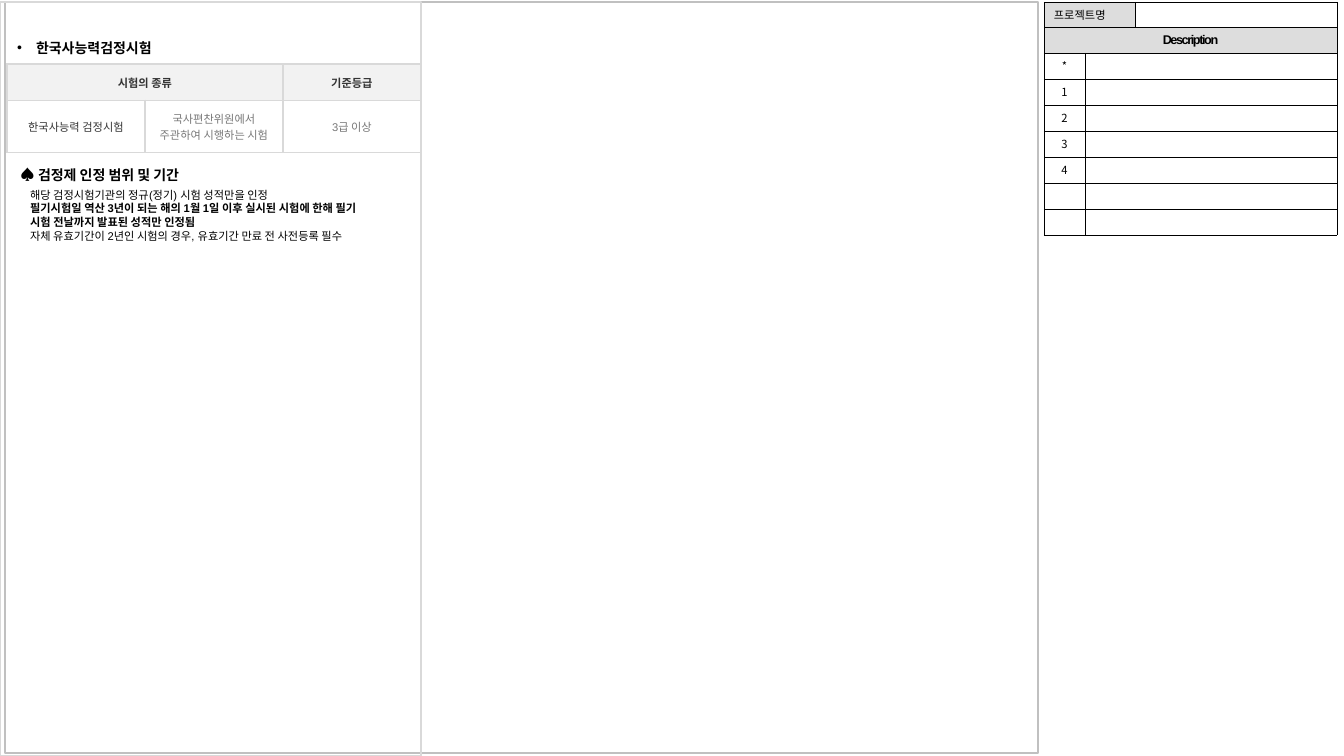
import pptx
import pptx.util
import pptx.dml.color
import pptx.enum.shapes
import pptx.enum.text
import pptx.oxml.ns
import lxml.etree

# Content
KOREAN, LATIN = "Noto Sans CJK KR", "Arial"
LEFT, CENTER = pptx.enum.text.PP_ALIGN.LEFT, pptx.enum.text.PP_ALIGN.CENTER
TOP, MIDDLE = pptx.enum.text.MSO_ANCHOR.TOP, pptx.enum.text.MSO_ANCHOR.MIDDLE

HEADING = "한국사능력검정시험"
NOTES_HEADING = ("♠ ", "검정제 인정 범위 및 기간")
NOTES = [  # text, bold
    ("해당 검정시험기관의 정규(정기) 시험 성적만을 인정", False),
    ("필기시험일 역산 3년이 되는 해의 1월 1일 이후 실시된 시험에 한해 필기", True),
    ("시험 전날까지 발표된 성적만 인정됨", True),
    ("자체 유효기간이 2년인 시험의 경우, 유효기간 만료 전 사전등록 필수", False),
]
EXAM_ROWS = [
    ["시험의 종류", "", "기준등급"],
    ["한국사능력 검정시험", "국사편찬위원에서 주관하여 시행하는 시험", "3급 이상"],
]
DESCRIPTION_ROWS = [["프로젝트명", "", ""], ["Description", "", ""]]
DESCRIPTION_ROWS += [[mark, "", ""] for mark in ["*", "1", "2", "3", "4", "", ""]]

# Geometry in px: left, top, width, height
PX = 914400 / 100.8
SLIDE = (1344, 756)
FRAMES = [((5, 2, 1033, 751), "C0C0C0"), ((0, 2, 421, 754), "D9D9D9")]
HEADING_BOX = (7, 34, 414, 27)
NOTES_BOX = (5, 161, 416, 87)
EXAM_AT, EXAM_COLS, EXAM_HEIGHTS = (7, 64), [138] * 3, [34, 48]
DESC_AT, DESC_COLS, DESC_HEIGHTS = (1044, 2), [41, 50, 202], [25] + [26] * 8


def px(n):
    return round(n * PX)


def rgb(value):
    return pptx.dml.color.RGBColor.from_string(value)


def assign(obj, values):
    for name, value in values.items():
        setattr(obj, name, value)


def sub(parent, tag, **attrs):
    el = lxml.etree.SubElement(parent, pptx.oxml.ns.qn(tag))
    for name, value in attrs.items():
        el.set(name, str(value))
    return el


def add_run(p, text, size, color="000000", bold=False, font=KOREAN, spacing=0):
    r = p.add_run()
    r.text = text
    assign(r.font, {"size": pptx.util.Pt(size), "bold": bold, "name": font})
    r.font.color.rgb = rgb(color)
    rPr = r.font._element
    sub(rPr, "a:ea", typeface=KOREAN)
    if spacing:
        rPr.set("spc", str(spacing))


def format_line(p, spacing, margin, indent=0, before=0, bullet=None):
    assign(p, {"alignment": LEFT, "line_spacing": pptx.util.Pt(spacing),
               "space_before": pptx.util.Pt(before), "space_after": pptx.util.Pt(0)})
    pPr = p._p.get_or_add_pPr()
    pPr.set("marL", str(px(margin)))
    pPr.set("indent", str(px(indent)))
    if bullet:
        sub(pPr, "a:buFont", typeface=LATIN)
        sub(pPr, "a:buChar", char=bullet)
    else:
        sub(pPr, "a:buNone")


def place(sp, box):
    assign(sp, dict(zip(("left", "top", "width", "height"), map(px, box))))
    tf = sp.text_frame
    assign(tf, {"word_wrap": True, "vertical_anchor": TOP,
                "auto_size": pptx.enum.text.MSO_AUTO_SIZE.NONE})
    return tf


def add_table(at, cols, heights, merges):
    box = (*at, sum(cols), sum(heights))
    tbl = slide.shapes.add_table(len(heights), len(cols), *map(px, box)).table
    assign(tbl, {"first_row": False, "horz_banding": False})
    for column, width in zip(tbl.columns, cols):
        column.width = px(width)
    for row, height in zip(tbl.rows, heights):
        row.height = px(height)
    for row, first, last in merges:
        tbl.cell(row, first).merge(tbl.cell(row, last))
    return tbl


def fill_cell(cell, text, fill, border, border_width, margins, align=CENTER, **style):
    tcPr = cell._tc.get_or_add_tcPr()
    for side in ("a:lnL", "a:lnR", "a:lnT", "a:lnB"):
        ln = sub(tcPr, side, w=pptx.util.Pt(border_width))
        sub(sub(ln, "a:solidFill"), "a:srgbClr", val=border)
    cell.fill.solid()
    cell.fill.fore_color.rgb = rgb(fill)
    side, edge = map(px, margins)
    assign(cell, {"vertical_anchor": MIDDLE, "margin_left": side, "margin_right": side,
                  "margin_top": edge, "margin_bottom": edge})
    p = cell.text_frame.paragraphs[0]
    p.alignment = align
    if text:
        add_run(p, text, **style)
    else:
        sub(p._p, "a:endParaRPr", sz=800)


prs = pptx.Presentation()
assign(prs, {"slide_width": px(SLIDE[0]), "slide_height": px(SLIDE[1])})
slide = prs.slides.add_slide(prs.slide_layouts[1])

# Frames
for box, color in FRAMES:
    sp = slide.shapes.add_shape(pptx.enum.shapes.MSO_SHAPE.RECTANGLE, *map(px, box))
    sp.shadow.inherit = False
    sp.fill.background()
    sp.line.color.rgb = rgb(color)
    sp.line.width = pptx.util.Pt(1)

# Heading
p = place(slide.shapes.title, HEADING_BOX).paragraphs[0]
format_line(p, 12.5, 19, -19, bullet="•")
add_run(p, HEADING, 10, bold=True)

# Notes on accepted scores
tf = place(slide.placeholders[1], NOTES_BOX)
p = tf.paragraphs[0]
format_line(p, 12.5, 5)
for text, size, font in zip(NOTES_HEADING, (10.5, 10), (LATIN, LATIN)):
    add_run(p, text, size, bold=True, font=font)
for i, (text, bold) in enumerate(NOTES):
    p = tf.add_paragraph()
    format_line(p, 9.75, 15, before=0 if i else 3)
    add_run(p, text, 8, bold=bold, font=LATIN)

# Exam table
tbl = add_table(EXAM_AT, EXAM_COLS, EXAM_HEIGHTS, [(0, 0, 1)])
for i, row in enumerate(EXAM_ROWS):
    for j, text in enumerate(row):
        header = i == 0
        fill_cell(tbl.cell(i, j), text, "F2F2F2" if header else "FFFFFF", "D9D9D9", 1,
                  (5 if header else 8, 10), size=8, bold=header, font=LATIN,
                  color="333333" if header or j == 0 else "777777")

# Description table
merges = [(0, 0, 1), (1, 0, 2)] + [(i, 1, 2) for i in range(2, len(DESCRIPTION_ROWS))]
tbl = add_table(DESC_AT, DESC_COLS, DESC_HEIGHTS, merges)
for i, row in enumerate(DESCRIPTION_ROWS):
    for j, text in enumerate(row):
        style = {"size": 8}
        if i == 1:
            style = {"size": 9, "bold": True, "font": LATIN, "spacing": -100}
        shaded = i == 1 or (i == 0 and j < 2)
        fill_cell(tbl.cell(i, j), text, "DDDDDD" if shaded else "FFFFFF", "000000", 0.25,
                  (4 if i > 1 else 10, 4), LEFT if i == 0 else CENTER, **style)

prs.save("out.pptx")
